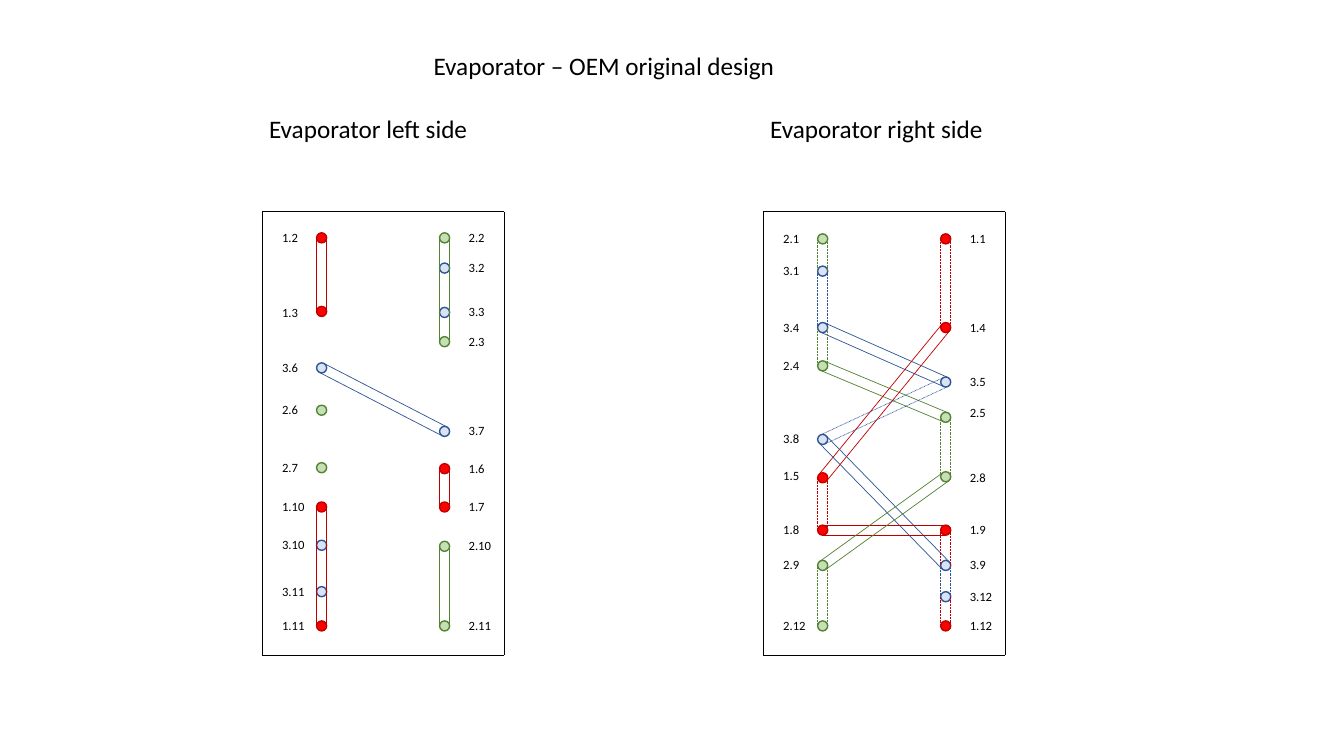
import math

from lxml import etree
from pptx import Presentation
from pptx import util as u
from pptx.dml.color import RGBColor
from pptx.enum import dml, shapes, text
from pptx.oxml import ns

# All lengths are counted in grid cells of a tenth of an inch.
CELL = u.Inches(0.1)
PANEL_TOP, PANEL_WIDTH, PANEL_HEIGHT = 21, 24, 44
PORT_COLUMNS = (5.9, 18.1)
LABEL_COLUMNS = (1, 19.5)
LABEL_RISE = 1.3
PORT_SIZE = 1

# The digit before the dot names the circuit: (port fill, line colour).
CIRCUITS = {
    "1": ("FF0000", "C00000"),
    "2": ("C5E0B4", "548235"),
    "3": ("DAE3F3", "2F5597"),
}

# Ports hold the row of each circle's centre; a tube takes its first port's colour.
PANELS = [
    {
        "title": "Evaporator left side",
        "left": 26,
        "ports": (
            {"1.2": 23.6, "1.3": 30.9, "3.6": 36.5, "2.6": 40.7, "2.7": 46.4,
             "1.10": 50.3, "3.10": 54.1, "3.11": 58.7, "1.11": 62.1},
            {"2.2": 23.6, "3.2": 26.6, "3.3": 31, "2.3": 33.9, "3.7": 42.8,
             "1.6": 46.5, "1.7": 50.3, "2.10": 54.2, "2.11": 62.1},
        ),
        "solid": [("1.2", "1.3"), ("2.2", "2.3"), ("3.6", "3.7"),
                  ("1.6", "1.7"), ("1.10", "1.11"), ("2.10", "2.11")],
        "dotted": [],
    },
    {
        "title": "Evaporator right side",
        "left": 75.7,
        "ports": (
            {"2.1": 23.7, "3.1": 26.9, "3.4": 32.5, "2.4": 36.3, "3.8": 43.6,
             "1.5": 47.4, "1.8": 52.6, "2.9": 56.1, "2.12": 62.1},
            {"1.1": 23.7, "1.4": 32.5, "3.5": 37.9, "2.5": 41.4, "2.8": 47.3,
             "1.9": 52.6, "3.9": 56.1, "3.12": 59.2, "1.12": 62.1},
        ),
        "solid": [("3.4", "3.5"), ("2.4", "2.5"), ("1.5", "1.4"),
                  ("3.8", "3.9"), ("1.8", "1.9"), ("2.9", "2.8")],
        "dotted": [("2.1", "3.1"), ("3.1", "3.4"), ("2.4", "3.4"),
                   ("1.1", "1.4"), ("3.8", "3.5"), ("2.5", "2.8"),
                   ("1.5", "1.8"), ("2.9", "2.12"), ("1.9", "3.9"),
                   ("3.9", "3.12"), ("1.12", "3.12")],
    },
]
LABEL_NUDGES = {"2.5": -0.4, "1.5": -0.2, "1.3": 0.2, "2.8": 0.1}


def cells(*counts):
    return [round(count * CELL) for count in counts]


def color(hex_value):
    return RGBColor.from_string(hex_value)


def set_format(target, values):
    for name, value in values.items():
        setattr(target, name, value)


def add_text(slide, words, left, top, width, height, size, alignment=None):
    box = slide.shapes.add_textbox(*cells(left, top, width, height))
    set_format(box.text_frame, {"word_wrap": True,
                                "auto_size": text.MSO_AUTO_SIZE.SHAPE_TO_FIT_TEXT})
    paragraph = box.text_frame.paragraphs[0]
    paragraph.alignment = alignment
    run = paragraph.add_run()
    run.text = words
    set_format(run.font, {"name": "Calibri", "size": u.Pt(size)})
    run.font.color.rgb = color("000000")


def add_line(slide, start, end, line_color, dotted=False):
    line = slide.shapes.add_connector(
        shapes.MSO_CONNECTOR.STRAIGHT, *cells(*start, *end))
    line.line.width = u.Pt(0.5)
    line.line.color.rgb = color(line_color)
    if dotted:
        line.line.dash_style = dml.MSO_LINE.ROUND_DOT
    etree.SubElement(line._element.spPr, ns.qn("a:effectLst"))


def add_frame(slide, left):
    right, bottom = left + PANEL_WIDTH, PANEL_TOP + PANEL_HEIGHT
    corners = [(left, PANEL_TOP), (right, PANEL_TOP), (right, bottom), (left, bottom)]
    for start, end in zip(corners, corners[1:] + corners[:1]):
        add_line(slide, start, end, "000000")


def add_port(slide, center, circuit):
    x, y = center
    fill, outline = CIRCUITS[circuit]
    port = slide.shapes.add_shape(
        shapes.MSO_SHAPE.OVAL,
        *cells(x - PORT_SIZE / 2, y - PORT_SIZE / 2, PORT_SIZE, PORT_SIZE))
    port.shadow.inherit = False
    port.fill.solid()
    port.fill.fore_color.rgb = color(fill)
    port.line.color.rgb = color(outline)
    port.line.width = u.Pt(1)


def add_tube(slide, start, end, circuit, dotted):
    """Draw the two walls of a tube, each half a port away from its axis."""
    across, down = end[0] - start[0], end[1] - start[1]
    scale = PORT_SIZE / 2 / math.hypot(across, down)
    for side in (-scale, scale):
        wall = [(x - down * side, y + across * side) for x, y in (start, end)]
        add_line(slide, *wall, CIRCUITS[circuit][1], dotted)


def add_panel(slide, panel):
    left = panel["left"]
    add_frame(slide, left)
    add_text(slide, panel["title"], left - 0.3, 10.8, 24.6, 4, 18)
    centers = {}
    for port_column, label_column, ports in zip(
            PORT_COLUMNS, LABEL_COLUMNS, panel["ports"]):
        for label, row in ports.items():
            centers[label] = (left + port_column, row)
            add_port(slide, centers[label], label[0])
            label_top = row - LABEL_RISE + LABEL_NUDGES.get(label, 0)
            add_text(slide, label, left + label_column, label_top, 4.4, 2.5, 9)
    for style in ("solid", "dotted"):
        for first, second in panel[style]:
            add_tube(slide, centers[first], centers[second], first[0],
                     style == "dotted")


def main():
    presentation = Presentation()
    set_format(presentation, {"slide_width": u.Inches(13.33),
                              "slide_height": u.Inches(7.5)})
    slide = presentation.slides.add_slide(presentation.slide_layouts[6])
    for panel in PANELS:
        add_panel(slide, panel)
    add_text(slide, "Evaporator – OEM original design", 41.1, 4.5, 37.6, 4, 18,
             text.PP_ALIGN.CENTER)
    presentation.save("out.pptx")


if __name__ == "__main__":
    main()
